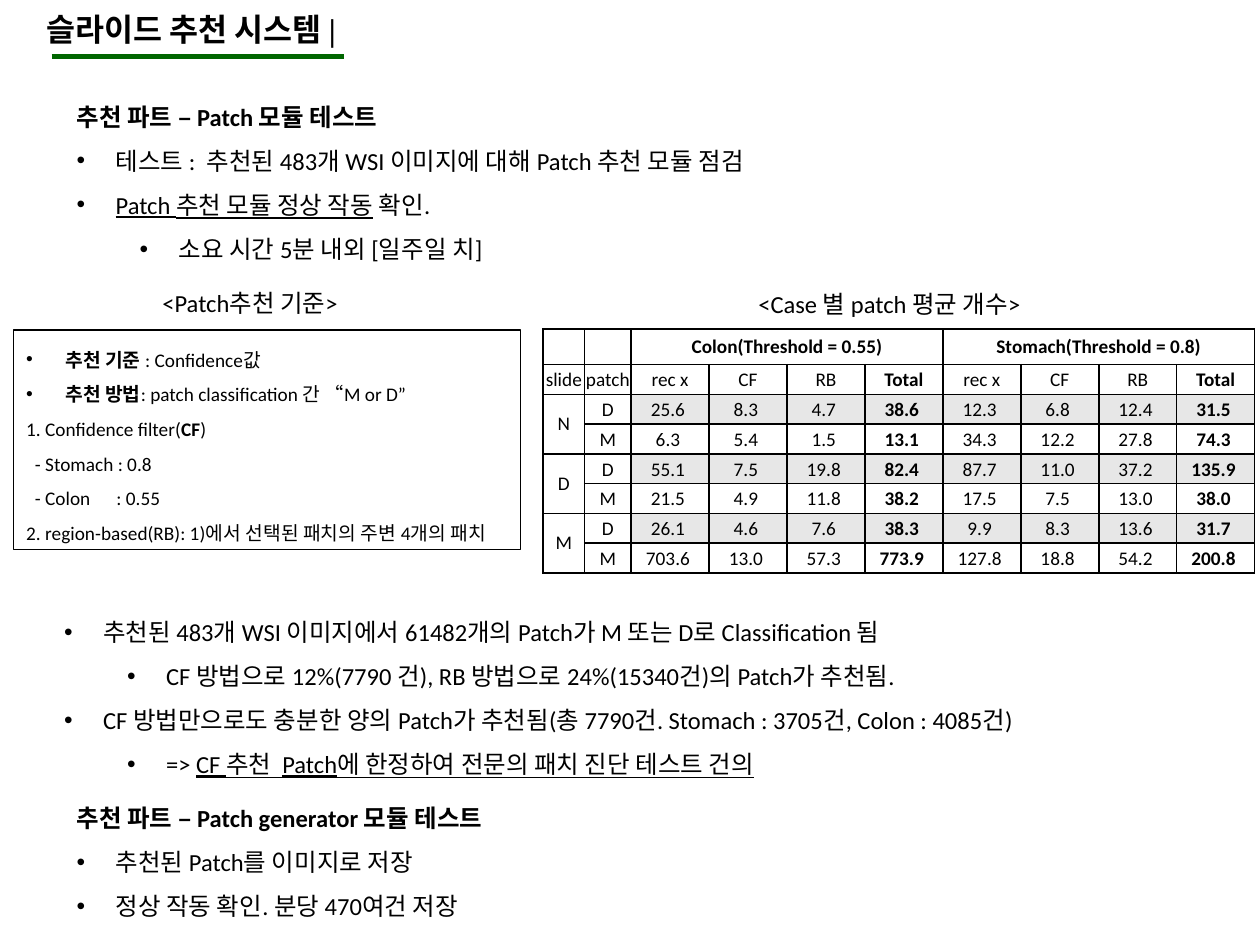
from pptx import Presentation
from pptx.dml.color import RGBColor
from pptx.enum.shapes import MSO_CONNECTOR, MSO_SHAPE
from pptx.enum.text import MSO_ANCHOR, MSO_AUTO_SIZE, PP_ALIGN
from pptx.oxml.ns import qn
from pptx.util import Inches, Pt
from lxml.etree import SubElement

BLACK, WHITE, GREEN, GRAY = "000000", "FFFFFF", "006600", "E7E7E7"
BOLD, UNDERLINE = {"bold": True}, {"underline": True}
INDENTS = [0.31, 0.81]

# Each paragraph is (bullet level or None, run, ...); a run is text or (text, format).
PATCH_TEST = [
    (None, ("추천 파트 – Patch 모듈 테스트", BOLD)),
    (0, "테스트 :  추천된 483개 WSI 이미지에 대해 Patch 추천 모듈 점검"),
    (0, ("Patch 추천 모듈 정상 작동", UNDERLINE), " 확인."),
    (1, "소요 시간 5분 내외 [일주일 치]"),
]
RESULTS = [
    (0, "추천된 483개 WSI 이미지에서 61482개의 Patch가 M 또는 D로 Classification 됨"),
    (1, "CF 방법으로 12%(7790 건), RB 방법으로 24%(15340건)의 Patch가 추천됨."),
    (0, "CF 방법만으로도 충분한 양의 Patch가 추천됨(총 7790건. Stomach : 3705건, Colon : 4085건)"),
    (1, "=> ", ("CF 추천  Patch에 한정하여 전문의 패치 진단 테스트 건의", UNDERLINE)),
]
CRITERIA = [
    (0, ("추천 기준 ", BOLD), ": Confidence값"),
    (0, ("추천 방법", BOLD), ": patch classification 간 “M or D”"),
    (None, "1. Confidence filter(", ("CF", BOLD), ")"),
    (None, "  - Stomach : 0.8"),
    (None, "  - Colon      : 0.55"),
    (None, "2. region-based(RB): 1)에서 선택된 패치의 주변 4개의 패치"),
]
GENERATOR_TEST = [
    (None, ("추천 파트 – Patch generator 모듈 테스트", BOLD)),
    (0, "추천된 Patch를 이미지로 저장"),
    (0, "정상 작동 확인. 분당 470여건 저장"),
]
CASES = ["N", "D", "M"]
COUNTS = [
    [25.6, 8.3, 4.7, 38.6, 12.3, 6.8, 12.4, 31.5],
    [6.3, 5.4, 1.5, 13.1, 34.3, 12.2, 27.8, 74.3],
    [55.1, 7.5, 19.8, 82.4, 87.7, 11.0, 37.2, 135.9],
    [21.5, 4.9, 11.8, 38.2, 17.5, 7.5, 13.0, 38.0],
    [26.1, 4.6, 7.6, 38.3, 9.9, 8.3, 13.6, 31.7],
    [703.6, 13.0, 57.3, 773.9, 127.8, 18.8, 54.2, 200.8],
]


def rgb(color):
    return RGBColor.from_string(color)


def add_run(p, text, size, font="Calibri", **formats):
    r = p.add_run()
    r.text = text
    values = {"name": font, "size": Pt(size), "bold": False} | formats
    for name, value in values.items():
        setattr(r.font, name, value)
    r.font.color.rgb = rgb(BLACK)


def add_bullet(p, level):
    p.level = level
    pPr = p._p.get_or_add_pPr()
    pPr.set("marL", str(Inches(INDENTS[level])))
    pPr.set("indent", str(-Inches(INDENTS[0])))
    SubElement(pPr, qn("a:buFont"), typeface="Arial")
    SubElement(pPr, qn("a:buChar"), char="•")


def fill_text(tf, paragraphs, size):
    tf.word_wrap = True
    tf.auto_size = MSO_AUTO_SIZE.SHAPE_TO_FIT_TEXT
    tf.vertical_anchor = MSO_ANCHOR.TOP
    for i, (level, *runs) in enumerate(paragraphs):
        p = tf.add_paragraph() if i else tf.paragraphs[0]
        p.alignment = PP_ALIGN.LEFT
        p.line_spacing = 1.5
        if level is not None:
            add_bullet(p, level)
        for run in runs:
            text, formats = (run, {}) if isinstance(run, str) else run
            add_run(p, text, size, **formats)


def add_text(slide, box, paragraphs):
    sp = slide.shapes.add_textbox(*map(Inches, box))
    fill_text(sp.text_frame, paragraphs, 14)


def add_framed_text(slide, box, paragraphs):
    sp = slide.shapes.add_shape(MSO_SHAPE.RECTANGLE, *map(Inches, box))
    sp.shadow.inherit = False
    sp.fill.background()
    sp.line.color.rgb = rgb(BLACK)
    sp.line.width = Pt(0.75)
    fill_text(sp.text_frame, paragraphs, 11)


def set_title(slide, text):
    sp = slide.shapes.title
    sp.left, sp.top, sp.width, sp.height = map(Inches, (0.27, 0.03, 6.96, 0.4))
    tf = sp.text_frame
    tf.vertical_anchor = MSO_ANCHOR.TOP
    tf.auto_size = MSO_AUTO_SIZE.SHAPE_TO_FIT_TEXT
    p = tf.paragraphs[0]
    p.alignment = PP_ALIGN.LEFT
    add_run(p, text, 18, "Times New Roman", bold=True)


def add_underline(slide):
    line = slide.shapes.add_connector(
        MSO_CONNECTOR.STRAIGHT, *map(Inches, (0.41, 0.45, 2.73, 0.45)))
    line.line.color.rgb = rgb(GREEN)
    line.line.width = Pt(3)
    SubElement(line._element.spPr, qn("a:effectLst"))


def style_cell(cell, color):
    """Give an empty cell its borders, fill, tight margins and row-height text size."""
    tcPr = cell._tc.get_or_add_tcPr()
    for side in ("lnL", "lnR", "lnT", "lnB"):
        ln = SubElement(tcPr, qn(f"a:{side}"), w=str(Pt(1)))
        SubElement(SubElement(ln, qn("a:solidFill")), qn("a:srgbClr"), val=BLACK)
    cell.fill.solid()
    cell.fill.fore_color.rgb = rgb(color)
    cell.vertical_anchor = MSO_ANCHOR.MIDDLE
    cell.margin_left = cell.margin_right = cell.margin_top = Inches(0.01)
    cell.margin_bottom = 0
    cell.text_frame.paragraphs[0]._p.get_or_add_endParaRPr().set("sz", "1100")


def write_cell(cell, text, bold=False):
    p = cell.text_frame.paragraphs[0]
    p.alignment = PP_ALIGN.CENTER
    add_run(p, text, 11, bold=bold)


def write_merged(cell, last, text, bold=False):
    cell.merge(last)
    cell.margin_left = cell.margin_right = Inches(0.1)
    cell.margin_top = cell.margin_bottom = Inches(0.05)
    write_cell(cell, text, bold)


def add_count_table(slide):
    box = map(Inches, (4.31, 2.61, 5.65, 1.89))
    table = slide.shapes.add_table(8, 10, *box).table
    table.first_row = table.horz_banding = False
    widths = [0.33, 0.37] + [(5.65 - 0.7) / 8] * 8
    for column, width in zip(table.columns, widths):
        column.width = Inches(width)
    for row in range(8):
        for col in range(10):
            shaded = row >= 2 and row % 2 == 0 and col >= 2
            style_cell(table.cell(row, col), GRAY if shaded else WHITE)

    groups = ["Colon(Threshold = 0.55)", "Stomach(Threshold = 0.8)"]
    for col, text in zip((2, 6), groups):
        write_merged(table.cell(0, col), table.cell(0, col + 3), text, True)
    headers = ["slide", "patch"] + ["rec x", "CF", "RB", "Total"] * 2
    for col, text in enumerate(headers):
        write_cell(table.cell(1, col), text, text == "Total")
    for row, case in zip((2, 4, 6), CASES):
        write_merged(table.cell(row, 0), table.cell(row + 1, 0), case)
    for row, counts in enumerate(COUNTS, 2):
        write_cell(table.cell(row, 1), "DM"[row % 2])
        for col, count in enumerate(counts, 2):
            write_cell(table.cell(row, col), f"{count:.1f} ", headers[col] == "Total")


def main():
    prs = Presentation()
    prs.slide_width, prs.slide_height = Inches(10), Inches(7.5)
    slide = prs.slides.add_slide(prs.slide_layouts[5])
    add_underline(slide)
    set_title(slide, "슬라이드 추천 시스템 |")
    add_text(slide, (0.51, 0.64, 8.43, 2.89), PATCH_TEST)
    add_text(slide, (0.41, 4.73, 9.38, 1.48), RESULTS)
    add_text(slide, (1.19, 2.12, 3.01, 0.42), [(None, "<Patch추천 기준>")])
    add_framed_text(slide, (0.11, 2.62, 4.02, 1.74), CRITERIA)
    add_text(slide, (5.92, 2.13, 3.01, 0.42), [(None, "<Case 별 patch 평균 개수>")])
    add_text(slide, (0.51, 6.21, 8.43, 1.83), GENERATOR_TEST)
    add_count_table(slide)
    prs.save("out.pptx")


if __name__ == "__main__":
    main()
